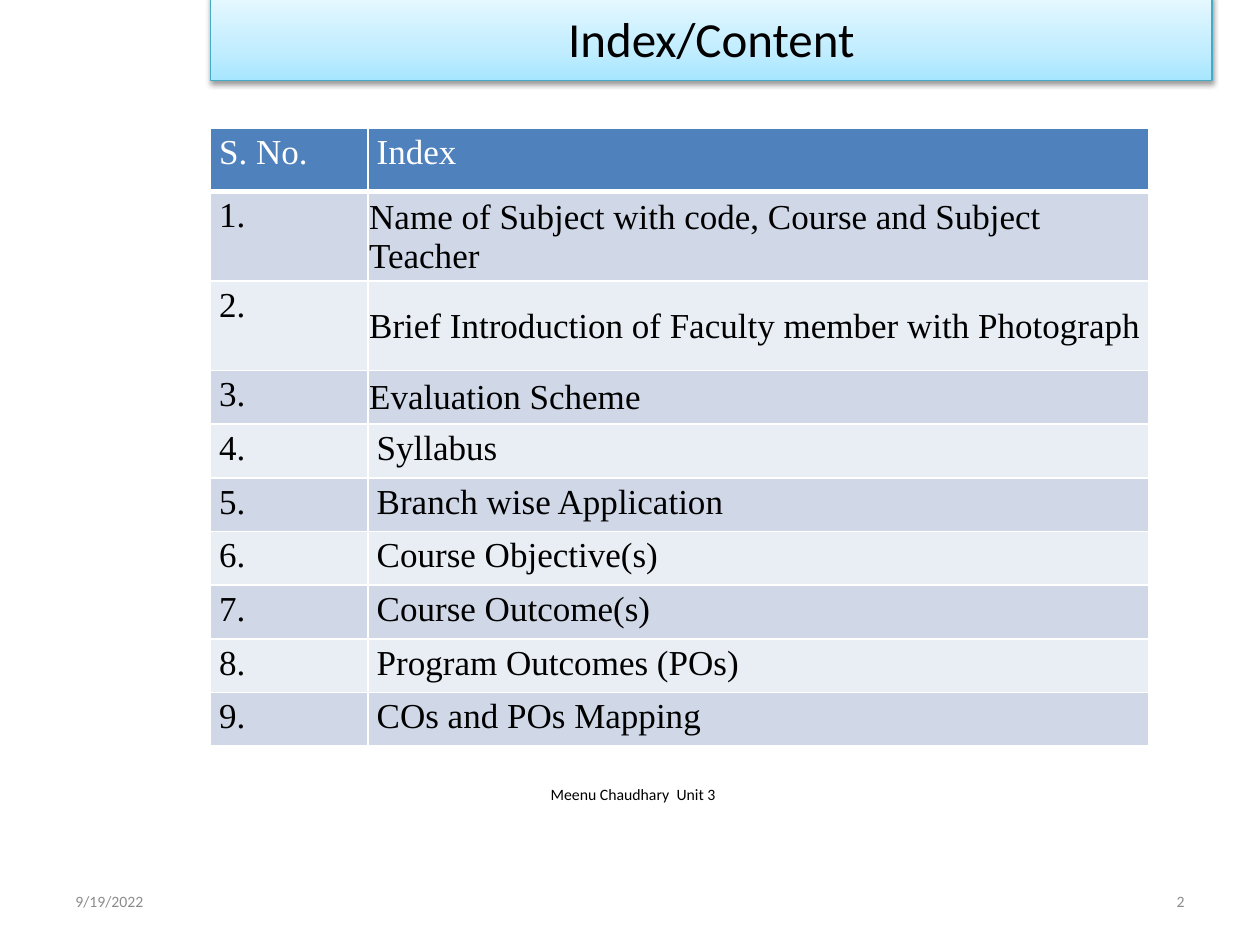
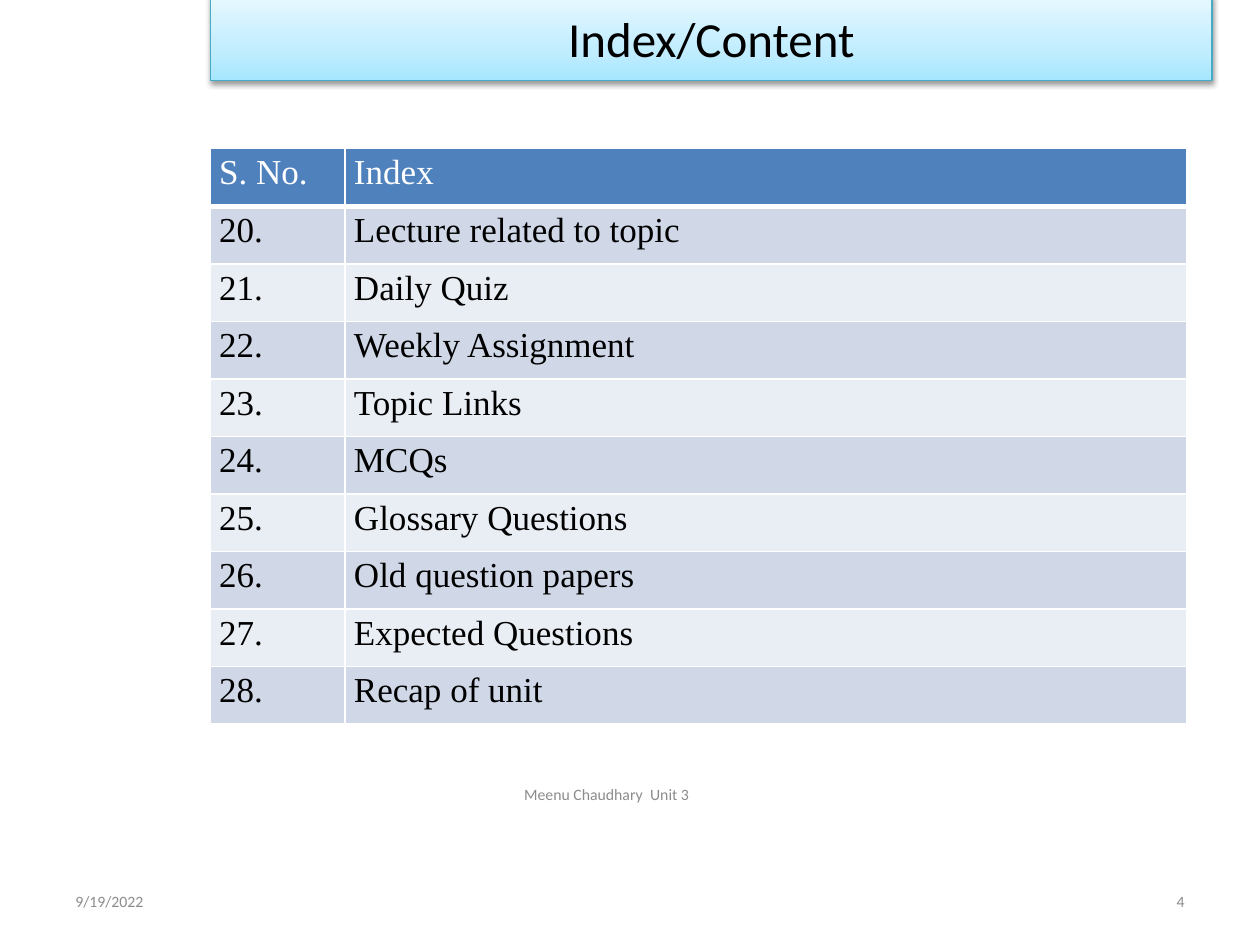
from dataclasses import dataclass
from lxml.etree import SubElement as Sub
from pptx import Presentation
from pptx.dml.color import RGBColor as RGB
from pptx.enum.shapes import MSO_SHAPE as Shape
from pptx.enum.text import MSO_ANCHOR as Anchor, PP_ALIGN as Align
from pptx.oxml import parse_xml
from pptx.oxml.ns import nsdecls, qn
from pptx.util import Inches, Pt


@dataclass(frozen=True)
class Theme:
    head: str = "4F81BD"
    bands: tuple = ("D0D8E8", "E9EDF4")
    white: str = "FFFFFF"
    black: str = "000000"
    grey: str = "8C8C8C"
    edge: str = "46AAC5"
    glow: tuple = ((0, "A7E6FF"), (35, "C1EDFF"), (100, "E7F8FF"))
    sans: str = "Calibri"
    serif: str = "Times New Roman"
    title: int = 28
    body: int = 20
    small: int = 9


look = Theme()
deck = Presentation()
deck.slide_width, deck.slide_height = Inches(10), Inches(7.5)
# Lengths are percent of the slide's width (col) and height (row).
col, row = deck.slide_width / 100, deck.slide_height / 100
left = 16.7
pad = (Inches(0.07), Inches(0.04), Inches(0.07), Inches(0.04))
tight = (Inches(0.01), Inches(0.01), Inches(0.01), 0)


def place(x, y, w, h):
    """Turn percent of the slide into lengths."""
    return int(x * col), int(y * row), int(w * col), int(h * row)


def write(frame, text, face, size, color, align=Align.LEFT):
    frame.text = text
    para = frame.paragraphs[0]
    para.alignment = align
    for run in para.runs:
        font = run.font
        font.name, font.size, font.bold = face, Pt(size), False
        font.color.rgb = RGB.from_string(color)


pages = [
    dict(num=2, first=1, top=13.6, cols=(12.5, 62),
         rows=[6.67] + [9.47] * 2 + [5.68] * 7, snug=(1, 2, 3),
         foot=(26.9, 52.5), start=1.68, ink=look.black,
         items=["Name of Subject with code, Course and Subject Teacher",
                "Brief Introduction of Faculty member with Photograph",
                "Evaluation Scheme", "Syllabus", "Branch wise Application",
                "Course Objective(s)", "Course Outcome(s)",
                "Program Outcomes (POs)", "COs and POs Mapping"]),
    dict(num=4, first=20, top=15.73, cols=(10.7, 66.8),
         rows=[6.09] * 10, snug=(),
         foot=(25, 51.9), start=1.66, ink=look.grey,
         items=["Lecture related to topic", "Daily Quiz", "Weekly Assignment",
                "Topic Links", "MCQs", "Glossary Questions",
                "Old question papers", "Expected Questions",
                "Recap of unit"]),
]

for page in pages:
    slide = deck.slides.add_slide(deck.slide_layouts[6])
    shapes = slide.shapes

    # Date, author and page number
    x, w = page["foot"]
    notes = [
        ("9/19/2022", (5, 92.67, 23.3, 5.33), look.grey, Align.LEFT),
        ("Meenu Chaudhary\tUnit 3", (x, 82, w, 4), page["ink"], Align.LEFT),
        (str(page["num"]), (71.7, 92.67, 23.3, 5.33), look.grey, Align.RIGHT),
    ]
    for text, spot, ink, align in notes:
        frame = shapes.add_textbox(*place(*spot)).text_frame
        frame.word_wrap = True
        frame.vertical_anchor = Anchor.MIDDLE
        if "\t" in text:
            frame.margin_left = Inches(page["start"])
            props = frame.paragraphs[0]._p.get_or_add_pPr()
            tabs = Sub(props, qn("a:tabLst"))
            Sub(tabs, qn("a:tab"), pos=str(Inches(1.57)), algn="l")
        write(frame, text, look.sans, look.small, ink, align)

    # Index table
    lines = [("S. No.", "Index")]
    lines += [(f"{n}.", item) for n, item in enumerate(page["items"], page["first"])]
    spot = place(left, page["top"], sum(page["cols"]), sum(page["rows"]))
    table = shapes.add_table(len(lines), 2, *spot).table
    for part, size in zip(table.columns, page["cols"]):
        part.width = int(size * col)
    for part, size in zip(table.rows, page["rows"]):
        part.height = int(size * row)
    for r, line in enumerate(lines):
        for c, text in enumerate(line):
            cell = table.cell(r, c)
            snug = c == 1 and r in page["snug"]
            (cell.margin_left, cell.margin_top,
             cell.margin_right, cell.margin_bottom) = tight if snug else pad
            cell.vertical_anchor = Anchor.MIDDLE if snug else Anchor.TOP
            props = cell._tc.get_or_add_tcPr()
            for side in "LRTB":
                thick = 3 if r == 0 and side == "B" else 1
                rule = Sub(props, qn("a:ln" + side), w=str(Pt(thick)))
                Sub(Sub(rule, qn("a:solidFill")), qn("a:srgbClr"), val=look.white)
            cell.fill.solid()
            fill = look.bands[(r - 1) % 2] if r else look.head
            cell.fill.fore_color.rgb = RGB.from_string(fill)
            write(cell.text_frame, text, look.serif, look.body,
                  look.black if r else look.white)

    # Title band
    band = shapes.add_shape(Shape.RECTANGLE, *place(left, -0.53, 79.5, 9.07))
    band.line.color.rgb = RGB.from_string(look.edge)
    band.line.width = Pt(0.75)
    band.fill.gradient()
    band.fill.gradient_angle = 90
    props = band._element.spPr
    stops = props.find(qn("a:gradFill")).find(qn("a:gsLst"))
    for stop in list(stops):
        stops.remove(stop)
    for pos, tone in look.glow:
        stop = Sub(stops, qn("a:gs"), pos=str(pos * 1000))
        Sub(stop, qn("a:srgbClr"), val=tone)
    props.append(parse_xml(
        f'<a:effectLst {nsdecls("a")}><a:outerShdw blurRad="{Pt(3.1)}" '
        f'dist="{Pt(1.6)}" dir="5400000" rotWithShape="0">'
        f'<a:srgbClr val="{look.black}"><a:alpha val="38000"/></a:srgbClr>'
        '</a:outerShdw></a:effectLst>'))
    frame = band.text_frame
    (frame.margin_left, frame.margin_top,
     frame.margin_right, frame.margin_bottom) = pad
    frame.vertical_anchor = Anchor.MIDDLE
    write(frame, "Index/Content", look.sans, look.title, look.black, Align.CENTER)

deck.save("out.pptx")
